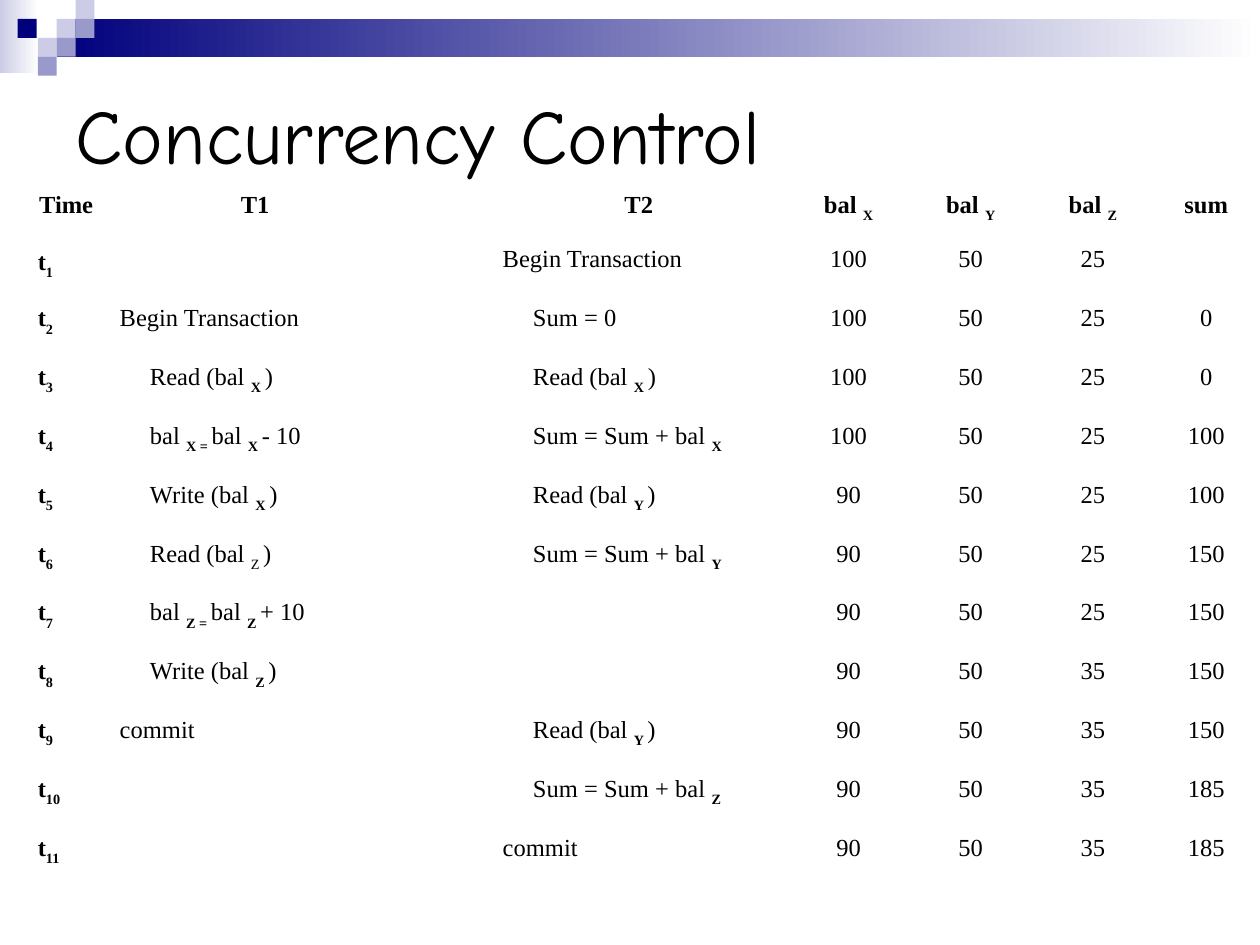
from pptx import Presentation
from pptx.dml.color import RGBColor
from pptx.enum.shapes import MSO_SHAPE
from pptx.enum.text import MSO_ANCHOR, PP_ALIGN
from pptx.util import Inches, Pt

BLACK = RGBColor(0, 0, 0)
WHITE = RGBColor(255, 255, 255)
NAVY = RGBColor(0, 0, 0x7D)
PALE = RGBColor(0xCC, 0xCC, 0xE6)
LILAC = RGBColor(0x99, 0x99, 0xCC)
TITLE = {"name": "Comic Neue", "size": Pt(44), "bold": False}
BODY = {"name": "Times New Roman", "size": Pt(14), "bold": False}
HEAD = {**BODY, "bold": True}


def style(font, form):
    for key, value in form.items():
        setattr(font, key, value)
    font.color.rgb = BLACK


def block(x, y, w, h, start, end=None):
    box = slide.shapes.add_shape(
        MSO_SHAPE.RECTANGLE, Inches(x), Inches(y), Inches(w), Inches(h))
    box.shadow.inherit = False
    box.line.fill.background()
    if end is None:
        box.fill.solid()
        box.fill.fore_color.rgb = start
        return
    box.fill.gradient()
    box.fill.gradient_angle = 0
    for stop, color in zip(box.fill.gradient_stops, (start, end)):
        stop.color.rgb = color


deck = Presentation()
deck.slide_width = Inches(10)
deck.slide_height = Inches(7.5)
slide = deck.slides.add_slide(deck.slide_layouts[5])

block(0, 0, 0.31, 0.58, PALE, WHITE)
block(0.45, 0.15, 9.55, 0.3, NAVY, WHITE)
side = 0.15
for x, y, color in [
    (0.45, 0.15, PALE), (0.6, 0, PALE), (0.6, 0.15, LILAC),
    (0.3, 0.3, PALE), (0.14, 0.15, NAVY), (0.45, 0.3, LILAC),
    (0.3, 0.45, LILAC),
]:
    block(x, y, side, side, color)

title = slide.shapes.title
title.left, title.top = Inches(0.5), Inches(0.5)
title.width, title.height = Inches(9), Inches(1.12)
frame = title.text_frame
frame.text = "Concurrency Control"
frame.vertical_anchor = MSO_ANCHOR.MIDDLE
frame.paragraphs[0].alignment = PP_ALIGN.LEFT
style(frame.paragraphs[0].runs[0].font, TITLE)

# Text between bars is subscript; a leading ">" marks an indented step.
steps = [
    ("", "Begin Transaction ", 100, 50, 25, ""),
    ("Begin Transaction ", ">Sum = 0", 100, 50, 25, 0),
    (">Read (bal |X |)", ">Read (bal |X |)", 100, 50, 25, 0),
    (">bal |X = |bal |X |- 10 ", ">Sum = Sum + bal |X", 100, 50, 25, 100),
    (">Write (bal |X |)", ">Read (bal |Y |)", 90, 50, 25, 100),
    (">Read (bal |Z |)", ">Sum = Sum + bal |Y", 90, 50, 25, 150),
    (">bal |Z = |bal |Z |+ 10 ", "", 90, 50, 25, 150),
    (">Write (bal |Z |)", "", 90, 50, 35, 150),
    ("commit", ">Read (bal |Y |)", 90, 50, 35, 150),
    ("", ">Sum = Sum + bal |Z", 90, 50, 35, 185),
    ("", "commit", 90, 50, 35, 185),
]
rows = [("Time", "T1", "", "T2", "bal |X", "bal |Y", "bal |Z", "sum")]
for num, (first, second, *vals) in enumerate(steps, 1):
    rows.append((f"t|{num}", first, "", second, *vals))

widths = [0.65, 2.35, 0.69, 2.36, 0.97, 0.97, 0.97, 0.83]
short, total = 0.45, 5.57
tall = (total - 2 * short) / (len(rows) - 2)
grid = slide.shapes.add_table(
    len(rows), len(widths), Inches(0.2), Inches(1.47),
    Inches(sum(widths)), Inches(total)).table
grid.first_row = False
grid.horz_banding = False
for col, width in zip(grid.columns, widths):
    col.width = Inches(width)

for i, row in enumerate(rows):
    grid.rows[i].height = Inches(short if i < 2 else tall)
    for j, value in enumerate(row):
        cell = grid.cell(i, j)
        cell.fill.background()
        text = str(value)
        para = cell.text_frame.paragraphs[0]
        style(para.font, BODY)
        if i == 0 or j > 3:
            para.alignment = PP_ALIGN.CENTER
        if i == 1:
            para.line_spacing = 0.9
        if text.startswith(">"):
            para._p.get_or_add_pPr().set("marL", str(Inches(0.24)))
        for k, part in enumerate(text.lstrip(">").split("|")):
            if not part:
                continue
            run = para.add_run()
            run.text = part
            style(run.font, HEAD if i == 0 or j == 0 else BODY)
            if k % 2:
                run.font.bold = (i, j) != (6, 1)
                run._r.get_or_add_rPr().set("baseline", "-30000")

deck.save("out.pptx")
